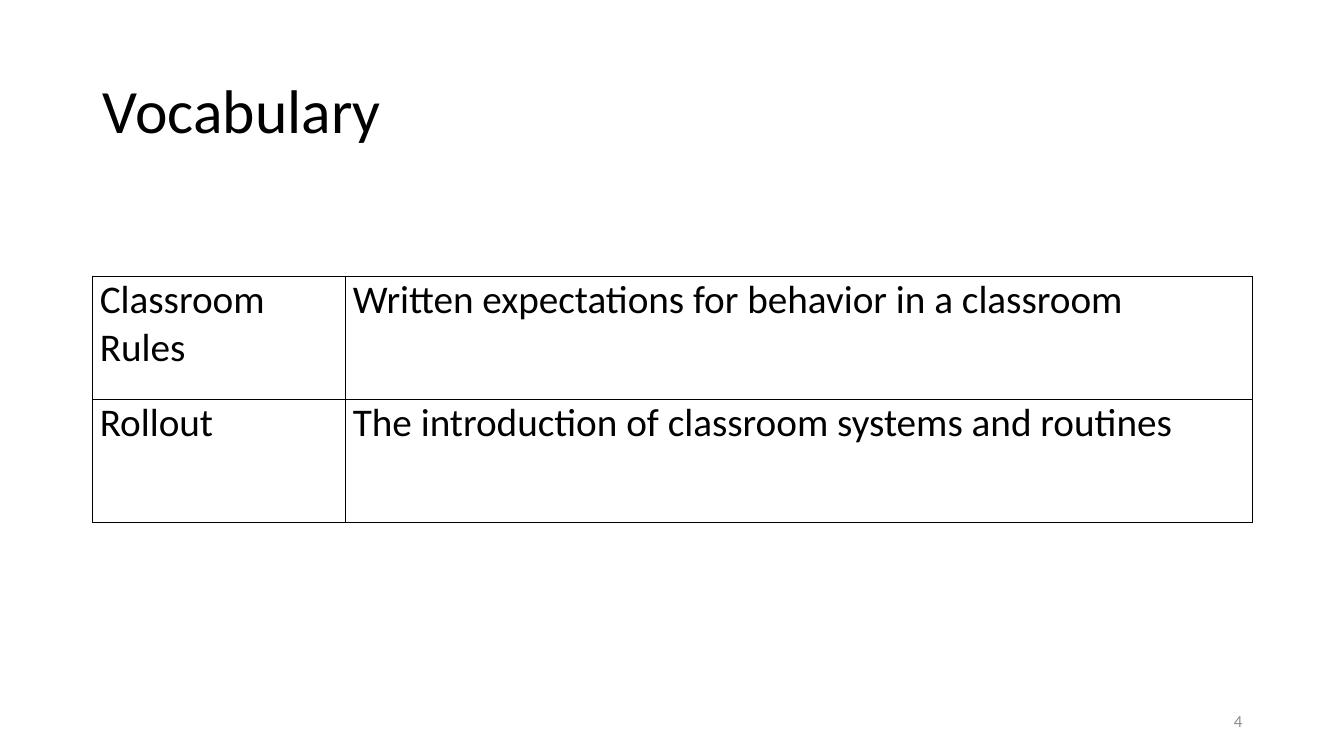
from lxml.etree import SubElement
from pptx import Presentation
from pptx.dml.color import RGBColor
from pptx.enum.text import MSO_ANCHOR, PP_ALIGN
from pptx.oxml.ns import qn
from pptx.util import Inches, Pt

COLORS = {"text": "000000", "border": "000000", "number": "8C8C8C"}
FONT = "Calibri"
ROWS = [
    ("Classroom Rules", "Written expectations for behavior in a classroom"),
    ("Rollout", "The introduction of classroom systems and routines"),
]


class SlideBuilder:
    def __init__(self, s):
        self.s = s

    def set_attrs(self, target, values):
        for name, value in values.items():
            setattr(target, name, value)

    def add_text(self, tf, text, size, color="text", **paragraph_format):
        p = tf.paragraphs[0]
        self.set_attrs(p, paragraph_format)
        r = p.add_run()
        r.text = text
        self.set_attrs(r.font, {"name": FONT, "size": Pt(size), "bold": False})
        r.font.color.rgb = RGBColor.from_string(COLORS[color])

    def place(self, sp, left, top, width, height):
        box = {"left": left, "top": top, "width": width, "height": height}
        self.set_attrs(sp, {k: Inches(v) for k, v in box.items()})

    def title(self, text, *box):
        sp = self.s.shapes.title
        self.place(sp, *box)
        tf = sp.text_frame
        self.set_attrs(tf, {"vertical_anchor": MSO_ANCHOR.MIDDLE, "word_wrap": True})
        self.add_text(tf, text, 44, alignment=PP_ALIGN.LEFT, line_spacing=0.9)

    def text(self, text, size, color, align, *box):
        tf = self.s.shapes.add_textbox(*map(Inches, box)).text_frame
        self.set_attrs(tf, {"vertical_anchor": MSO_ANCHOR.MIDDLE, "word_wrap": True})
        self.add_text(tf, text, size, color, alignment=align)

    def border(self, cell):
        tcPr = cell._tc.get_or_add_tcPr()
        for side in ("a:lnL", "a:lnR", "a:lnT", "a:lnB"):
            ln = SubElement(tcPr, qn(side), w=str(Pt(1)))
            fill = SubElement(ln, qn("a:solidFill"))
            SubElement(fill, qn("a:srgbClr"), val=COLORS["border"])

    def table(self, rows, widths, row_height, left, top):
        size = (sum(widths), row_height * len(rows))
        frame = self.s.shapes.add_table(
            len(rows), len(widths), *map(Inches, (left, top, *size)))
        table = frame.table
        self.set_attrs(table, {"first_row": False, "horz_banding": False})
        for column, width in zip(table.columns, widths):
            column.width = Inches(width)
        for row, texts in zip(table.rows, rows):
            row.height = Inches(row_height)
            for cell, text in zip(row.cells, texts):
                self.set_attrs(cell, {
                    "margin_left": Inches(0.07), "margin_right": Inches(0.07),
                    "margin_top": 0, "margin_bottom": 0,
                    "vertical_anchor": MSO_ANCHOR.TOP})
                self.border(cell)
                cell.fill.background()
                self.add_text(cell.text_frame, text, 28, space_after=Pt(6))


def main():
    prs = Presentation()
    prs.slide_width, prs.slide_height = Inches(13.33), Inches(7.5)
    s = SlideBuilder(prs.slides.add_slide(prs.slide_layouts[5]))
    s.title("Vocabulary", 0.92, 0.4, 11.5, 1.45)
    s.table(ROWS, (2.51, 8.99), 1.22, 0.92, 2.74)
    s.text("4", 12, "number", PP_ALIGN.RIGHT, 9.42, 6.95, 3, 0.4)
    prs.save("out.pptx")


if __name__ == "__main__":
    main()
